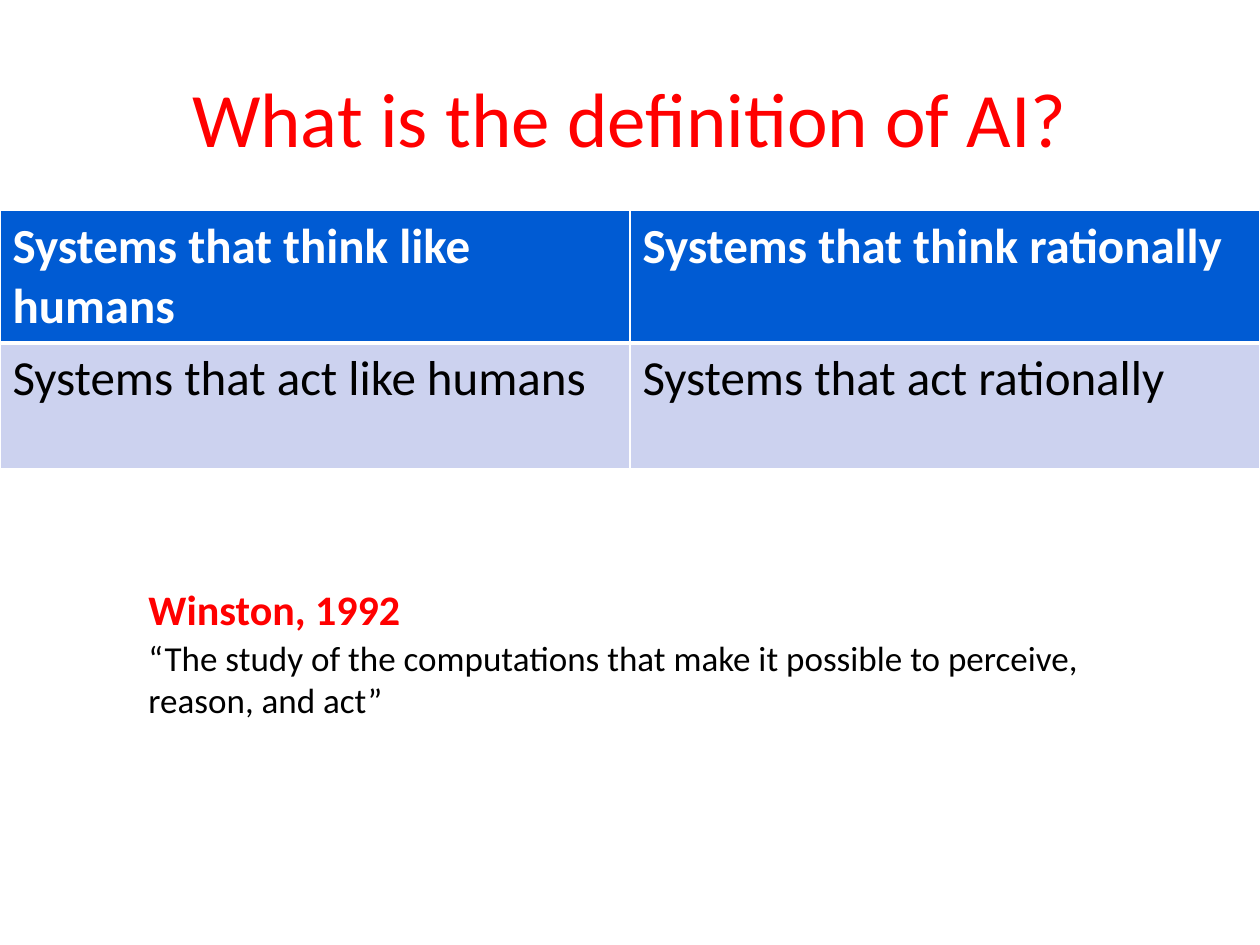
"""Build a slide on the definition of AI."""
from pptx import Presentation
from pptx.dml.color import RGBColor
from pptx.enum.text import MSO_ANCHOR, PP_ALIGN
from pptx.oxml import parse_xml
from pptx.oxml.ns import nsdecls
from pptx.util import Inches, Pt

RED = RGBColor(0xFF, 0x00, 0x00)
BLACK = RGBColor(0x00, 0x00, 0x00)
WHITE = RGBColor(0xFF, 0xFF, 0xFF)
BLUE = RGBColor(0x00, 0x5B, 0xD3)
PALE = RGBColor(0xCC, 0xD2, 0xEF)
FONT = "Calibri"

TITLE = "What is the definition of AI?"
ROWS = [
    (0.97, BLUE, WHITE, True, 3,
     ["Systems that think like humans", "Systems that think rationally"]),
    (1, PALE, BLACK, False, 1,
     ["Systems that act like humans", "Systems that act rationally"]),
]
NOTES = [
    ((1.08, 4.58, 2.22, 0.5), False, "Winston, 1992", 24, RED, True),
    ((1.08, 5, 8.25, 0.77), True,
     "“The study of the computations that make it possible to perceive, "
     "reason, and act”", 20, BLACK, False),
]


def write(frame, text, size, color, bold=False):
    run = frame.paragraphs[0].add_run()
    run.text = text
    font = run.font
    font.name, font.size, font.bold = FONT, Pt(size), bold
    font.color.rgb = color


def edge(cell, base):
    props = cell._tc.get_or_add_tcPr()
    sides = {"L": 1, "R": 1, "T": 3 if base == 1 else 1, "B": base}
    for spot, (side, width) in enumerate(sides.items()):
        props.insert(spot, parse_xml(
            f'<a:ln{side} {nsdecls("a")} w="{Pt(width)}"><a:solidFill>'
            f'<a:srgbClr val="{WHITE}"/></a:solidFill></a:ln{side}>'))


def add_grid(slide):
    top, width = 1.67, 10
    high = sum(row[0] for row in ROWS)
    grid = slide.shapes.add_table(
        len(ROWS), 2, Inches(0), Inches(top), Inches(width), Inches(high)).table
    for r, (tall, fill, color, bold, base, texts) in enumerate(ROWS):
        grid.rows[r].height = Inches(tall)
        for c, text in enumerate(texts):
            cell = grid.cell(r, c)
            cell.fill.solid()
            cell.fill.fore_color.rgb = fill
            write(cell.text_frame, text, 28, color, bold)
            edge(cell, base)


def main():
    deck = Presentation()
    deck.slide_width, deck.slide_height = Inches(10), Inches(7.5)
    slide = deck.slides.add_slide(deck.slide_layouts[5])
    title = slide.shapes.title
    title.left, title.top = Inches(0.5), Inches(0.3)
    title.width, title.height = Inches(9), Inches(1.25)
    frame = title.text_frame
    frame.vertical_anchor = MSO_ANCHOR.MIDDLE
    frame.paragraphs[0].alignment = PP_ALIGN.CENTER
    write(frame, TITLE, 44, RED)
    add_grid(slide)
    for area, wrap, *words in NOTES:
        frame = slide.shapes.add_textbox(*map(Inches, area)).text_frame
        frame.word_wrap = wrap
        write(frame, *words)
    deck.save("out.pptx")


if __name__ == "__main__":
    main()
